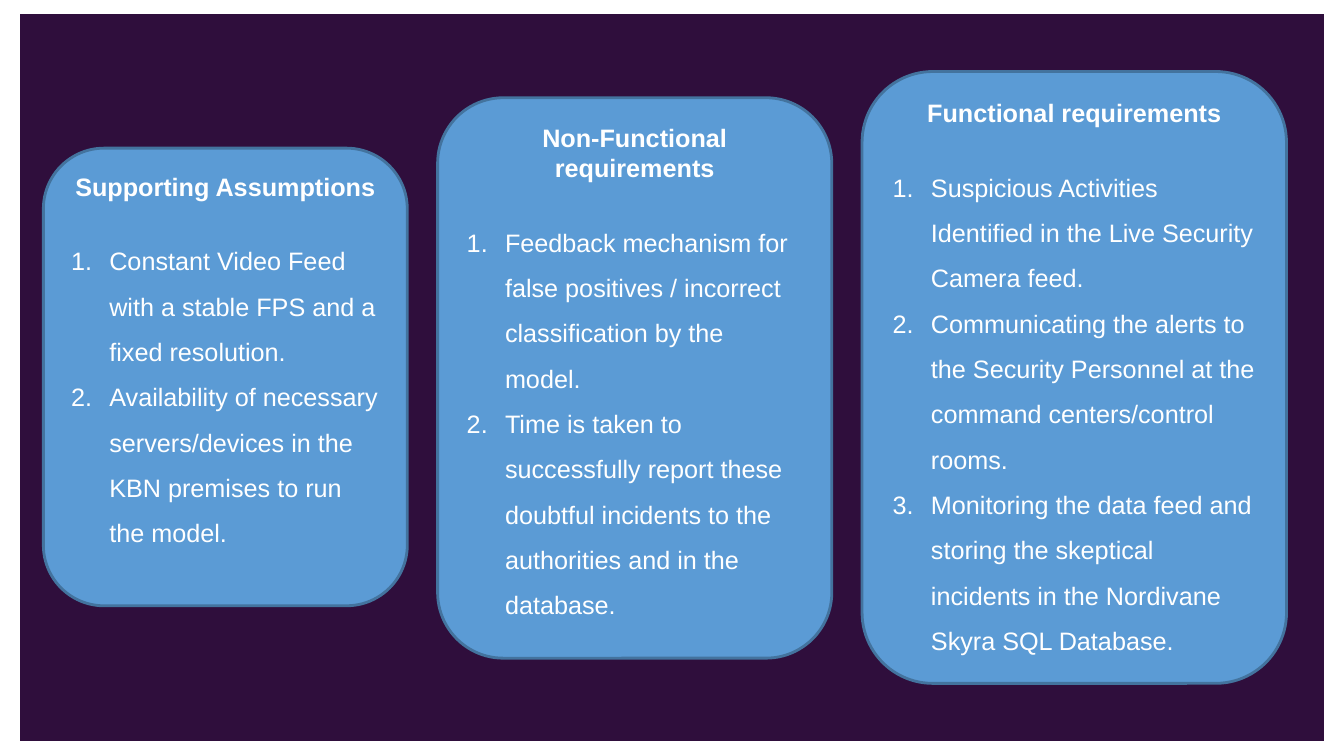
from dataclasses import dataclass

from lxml import etree
from pptx import Presentation
from pptx.dml.color import RGBColor
from pptx.enum.shapes import MSO_SHAPE
from pptx.enum.text import MSO_ANCHOR, PP_ALIGN
from pptx.oxml.ns import qn
from pptx.util import Emu, Pt

RECTANGLE = MSO_SHAPE.RECTANGLE
ROUNDED_RECTANGLE = MSO_SHAPE.ROUNDED_RECTANGLE
TOP = MSO_ANCHOR.TOP
LEFT = PP_ALIGN.LEFT
CENTER = PP_ALIGN.CENTER
BLANK_LAYOUT = 6
EMU_PER_PX = 9144


def px(length):
    return Emu(length * EMU_PER_PX)


@dataclass(frozen=True)
class Theme:
    backdrop: str = "2F0E3C"
    card: str = "5B9BD5"
    outline: str = "43739E"
    text: str = "FFFFFF"
    font: str = "Arial"
    text_size: int = 18
    outline_width: int = 2
    heading_gap: int = 21
    item_spacing: float = 1.5
    number_indent: int = 38


class SlideBuilder:
    def __init__(self, slide, theme):
        self.slide = slide
        self.theme = theme

    def block(self, kind, box, fill):
        shape = self.slide.shapes.add_shape(kind, *map(px, box))
        shape.shadow.inherit = False
        shape.fill.solid()
        shape.fill.fore_color.rgb = RGBColor.from_string(fill)
        shape.line.fill.background()
        return shape

    def text_run(self, paragraph, text, bold=False):
        run = paragraph.add_run()
        run.text = text
        run.font.name = self.theme.font
        run.font.size = Pt(self.theme.text_size)
        run.font.bold = bold
        run.font.color.rgb = RGBColor.from_string(self.theme.text)

    def number(self, paragraph):
        indent = px(self.theme.number_indent)
        properties = paragraph._p.get_or_add_pPr()
        properties.set("marL", str(indent))
        properties.set("indent", str(-indent))
        color = etree.SubElement(properties, qn("a:buClr"))
        etree.SubElement(color, qn("a:srgbClr"), val=self.theme.text)
        etree.SubElement(properties, qn("a:buFont"), typeface=self.theme.font)
        etree.SubElement(properties, qn("a:buAutoNum"), type="arabicPeriod")

    def card(self, box, heading, items):
        shape = self.block(ROUNDED_RECTANGLE, box, self.theme.card)
        shape.line.color.rgb = RGBColor.from_string(self.theme.outline)
        shape.line.width = Pt(self.theme.outline_width)
        frame = shape.text_frame
        frame.word_wrap = True
        frame.vertical_anchor = TOP
        title = frame.paragraphs[0]
        title.alignment = CENTER
        title.space_after = Pt(self.theme.heading_gap)
        self.text_run(title, heading, bold=True)
        for item in items:
            paragraph = frame.add_paragraph()
            paragraph.alignment = LEFT
            paragraph.line_spacing = self.theme.item_spacing
            self.number(paragraph)
            self.text_run(paragraph, item)


CARDS = [
    (
        (434, 97, 391, 556),
        "Non-Functional requirements",
        [
            "Feedback mechanism for false positives / incorrect classification by the model.",
            "Time is taken to successfully report these doubtful incidents to the "
            "authorities and in the database.",
        ],
    ),
    (
        (855, 71, 421, 607),
        "Functional requirements",
        [
            "Suspicious Activities Identified in the Live Security Camera feed.",
            "Communicating the alerts to the Security Personnel at the command "
            "centers/control rooms.",
            "Monitoring the data feed and storing the skeptical incidents in the "
            "Nordivane Skyra SQL Database.",
        ],
    ),
    (
        (43, 147, 361, 454),
        "Supporting Assumptions",
        [
            "Constant Video Feed with a stable FPS and a fixed resolution.",
            "Availability of necessary servers/devices in the KBN premises to run the model.",
        ],
    ),
]


def main():
    presentation = Presentation()
    presentation.slide_width = px(1333)
    presentation.slide_height = px(750)
    slide = presentation.slides.add_slide(presentation.slide_layouts[BLANK_LAYOUT])
    theme = Theme()
    builder = SlideBuilder(slide, theme)
    builder.block(RECTANGLE, (20, 14, 1293, 721), theme.backdrop)
    for box, heading, items in CARDS:
        builder.card(box, heading, items)
    presentation.save("out.pptx")


if __name__ == "__main__":
    main()
